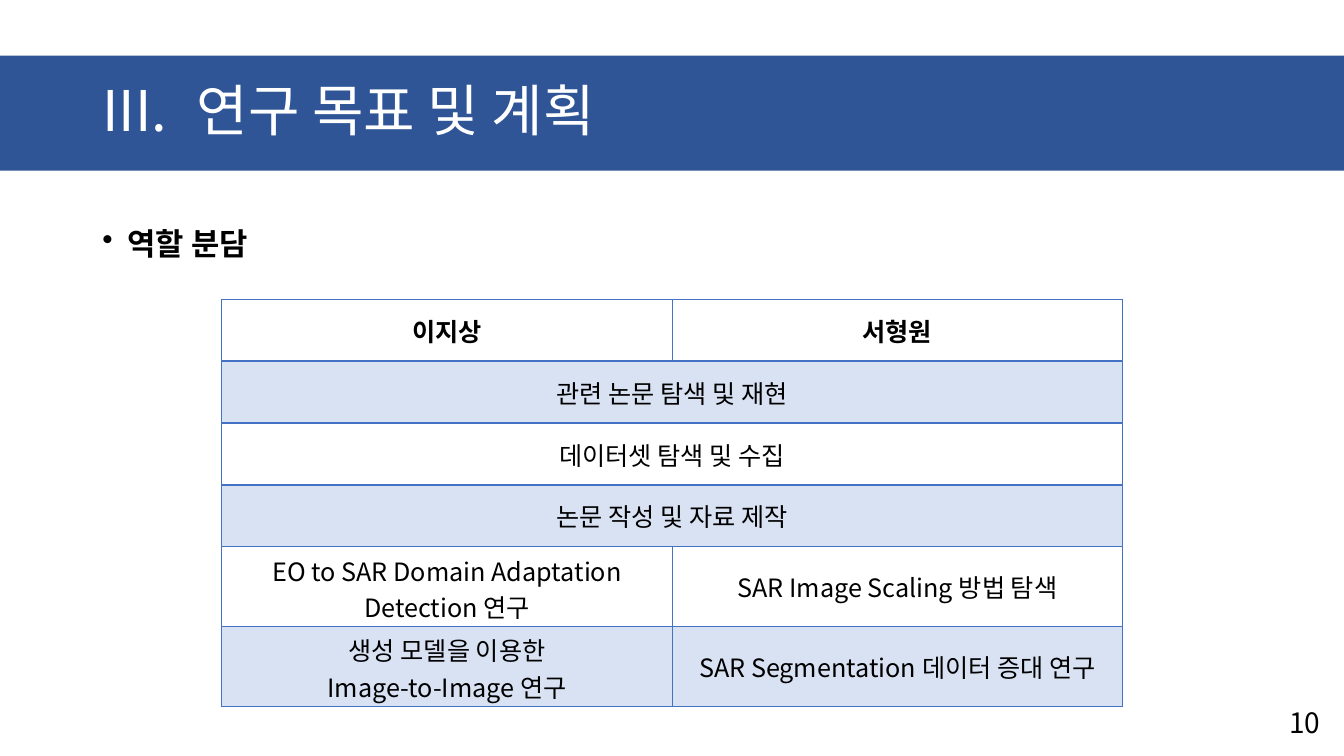
from lxml.etree import SubElement
from pptx import Presentation
from pptx.dml.color import RGBColor as Rgb
from pptx.enum.shapes import MSO_SHAPE as Shape
from pptx.enum.text import MSO_ANCHOR as Anchor, PP_ALIGN as Align
from pptx.oxml import parse_xml
from pptx.oxml.ns import nsdecls, qn
from pptx.util import Cm, Pt

COLORS = {"band": "2F5597", "grid": "4472C4", "white": "FFFFFF", "black": "000000"}
FONT = "Noto Sans CJK KR"
ROWS = [
    ("이지상", "서형원"),
    ("관련 논문 탐색 및 재현",),
    ("데이터셋 탐색 및 수집",),
    ("논문 작성 및 자료 제작",),
    ("EO to SAR Domain Adaptation Detection 연구", "SAR Image Scaling 방법 탐색"),
    ("생성 모델을 이용한\nImage-to-Image 연구", "SAR Segmentation 데이터 증대 연구"),
]
ROW_HEIGHTS = [1.56] * 4 + [2.01] * 2


def write_text(frame, text, size=18, color="black", bold=False, align=Align.LEFT,
               spacing=None, bullet=None, indent=0):
    frame.word_wrap = True
    paragraph = frame.paragraphs[0]
    paragraph.text = text
    paragraph.alignment = align
    if bullet:
        properties = paragraph._p.get_or_add_pPr()
        properties.set("marL", str(Cm(indent)))
        properties.set("indent", str(-Cm(indent)))
        tag, attributes = bullet
        SubElement(properties, qn(tag), attributes)
    if spacing:
        paragraph.line_spacing = spacing
    for run in paragraph.runs:
        run.font.name = FONT
        run.font.size = Pt(size)
        run.font.bold = bold
        run.font.color.rgb = Rgb.from_string(COLORS[color])
        SubElement(run._r.get_or_add_rPr(), qn("a:ea"), typeface=FONT)


class SlideBuilder:
    def __init__(self, presentation):
        self.slide = presentation.slides.add_slide(presentation.slide_layouts[6])

    def band(self, left, top, width, height, color):
        shape = self.slide.shapes.add_shape(
            Shape.RECTANGLE, Cm(left), Cm(top), Cm(width), Cm(height))
        shape.shadow.inherit = False
        shape.fill.solid()
        shape.fill.fore_color.rgb = Rgb.from_string(COLORS[color])
        shape.line.fill.background()

    def text(self, left, top, width, height, text, anchor=Anchor.MIDDLE, **style):
        box = self.slide.shapes.add_textbox(Cm(left), Cm(top), Cm(width), Cm(height))
        box.text_frame.vertical_anchor = anchor
        write_text(box.text_frame, text, **style)

    def table(self, left, top, column_width, row_heights, rows):
        columns = len(rows[0])
        table = self.slide.shapes.add_table(
            len(rows), columns, Cm(left), Cm(top),
            Cm(column_width * columns), Cm(sum(row_heights))).table
        for column in table.columns:
            column.width = Cm(column_width)
        for index, (height, texts) in enumerate(zip(row_heights, rows)):
            table.rows[index].height = Cm(height)
            for position in range(columns):
                self.cell_style(table.cell(index, position), index)
            if len(texts) < columns:
                table.cell(index, 0).merge(table.cell(index, columns - 1))
            for position, text in enumerate(texts):
                cell = table.cell(index, position)
                cell.vertical_anchor = Anchor.MIDDLE
                write_text(cell.text_frame, text, bold=index == 0, align=Align.CENTER)

    def cell_style(self, cell, row):
        properties = cell._tc.get_or_add_tcPr()
        if row % 2:
            cell.fill.solid()
            cell.fill.fore_color.rgb = Rgb.from_string(COLORS["grid"])
            SubElement(properties.find(".//" + qn("a:srgbClr")), qn("a:alpha"), val="20000")
        else:
            cell.fill.background()
        heavy = {(0, "B"), (1, "T")}
        for order, side in enumerate("LRTB"):
            width = Pt(2 if (row, side) in heavy else 1)
            properties.insert(order, parse_xml(
                f'<a:ln{side} {nsdecls("a")} w="{width}"><a:solidFill>'
                f'<a:srgbClr val="{COLORS["grid"]}"/></a:solidFill></a:ln{side}>'))


def main():
    presentation = Presentation()
    presentation.slide_width = Cm(33.87)
    presentation.slide_height = Cm(19.05)
    builder = SlideBuilder(presentation)
    builder.band(0, 1.4, 33.87, 2.9, "band")
    builder.text(2.33, 1.01, 29.21, 3.68, "연구 목표 및 계획", size=40, color="white",
                 spacing=0.9, indent=2.38,
                 bullet=("a:buAutoNum", {"type": "romanUcPeriod", "startAt": "3"}))
    builder.text(2.33, 5.07, 29.21, 12.73, "역할 분담", anchor=Anchor.TOP, size=22,
                 bold=True, spacing=1.5, indent=0.64, bullet=("a:buChar", {"char": "•"}))
    builder.text(31.55, 17.7, 1.98, 1.02, "10", size=20, align=Align.RIGHT)
    builder.table(5.59, 7.54, 11.35, ROW_HEIGHTS, ROWS)
    presentation.save("out.pptx")


if __name__ == "__main__":
    main()
